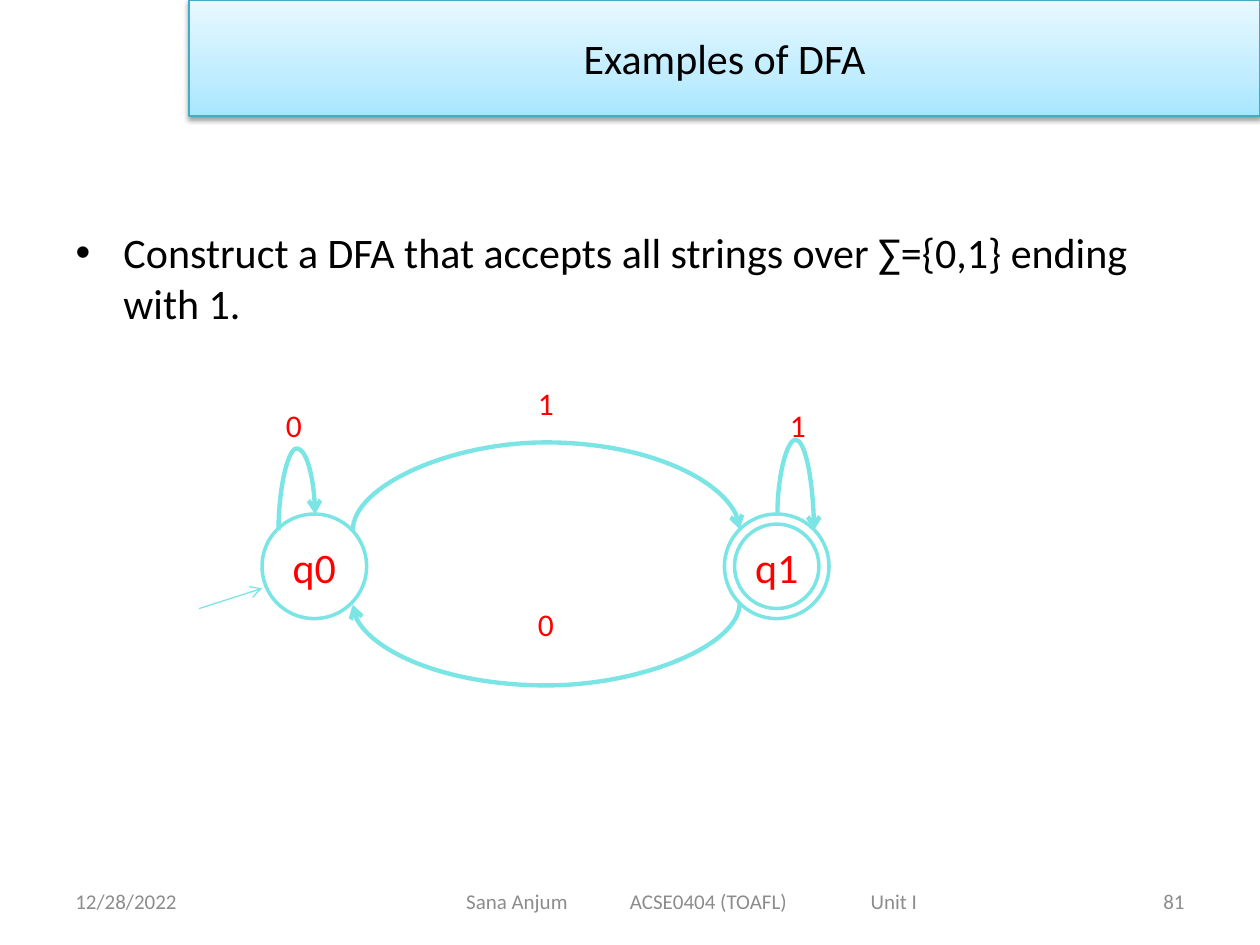
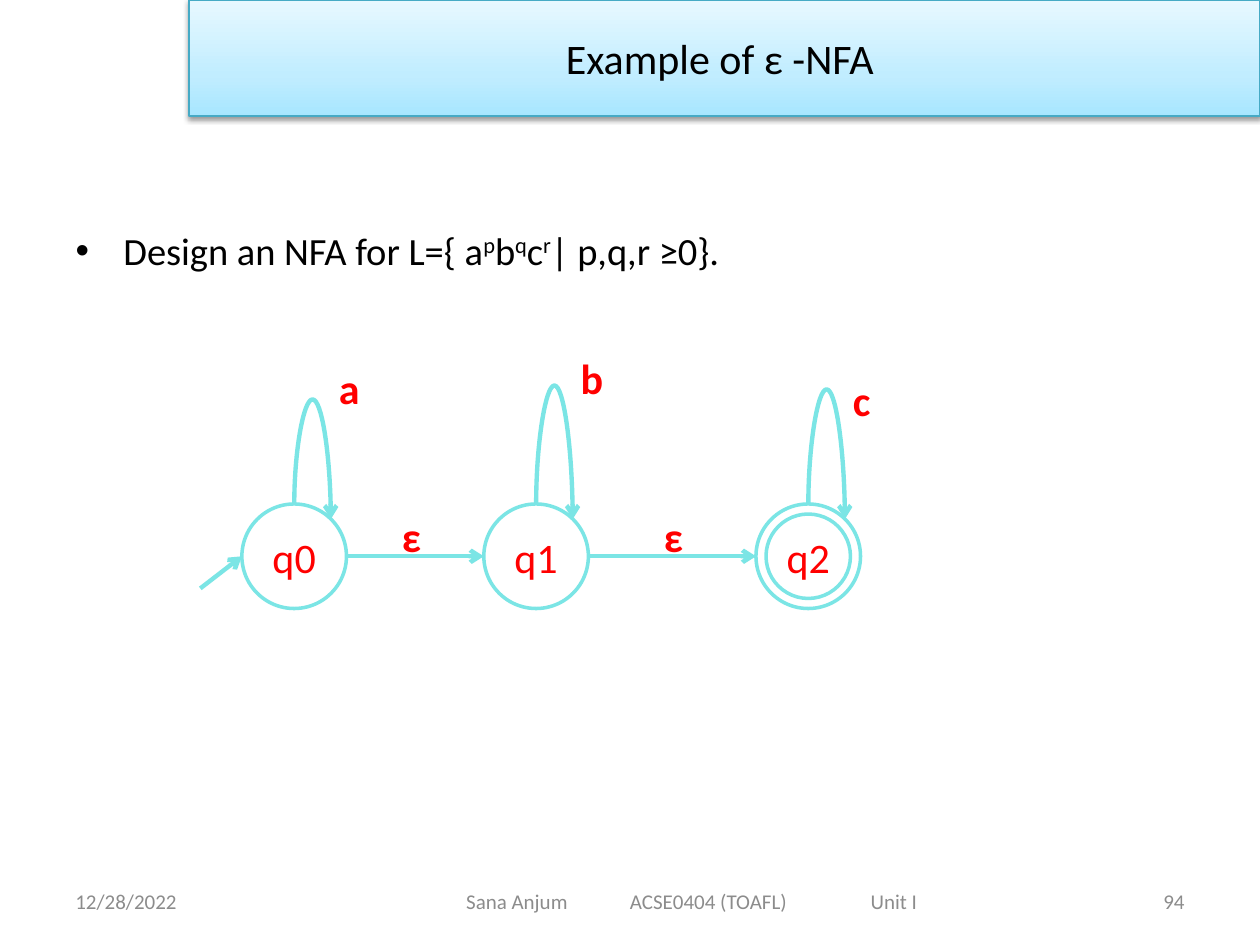
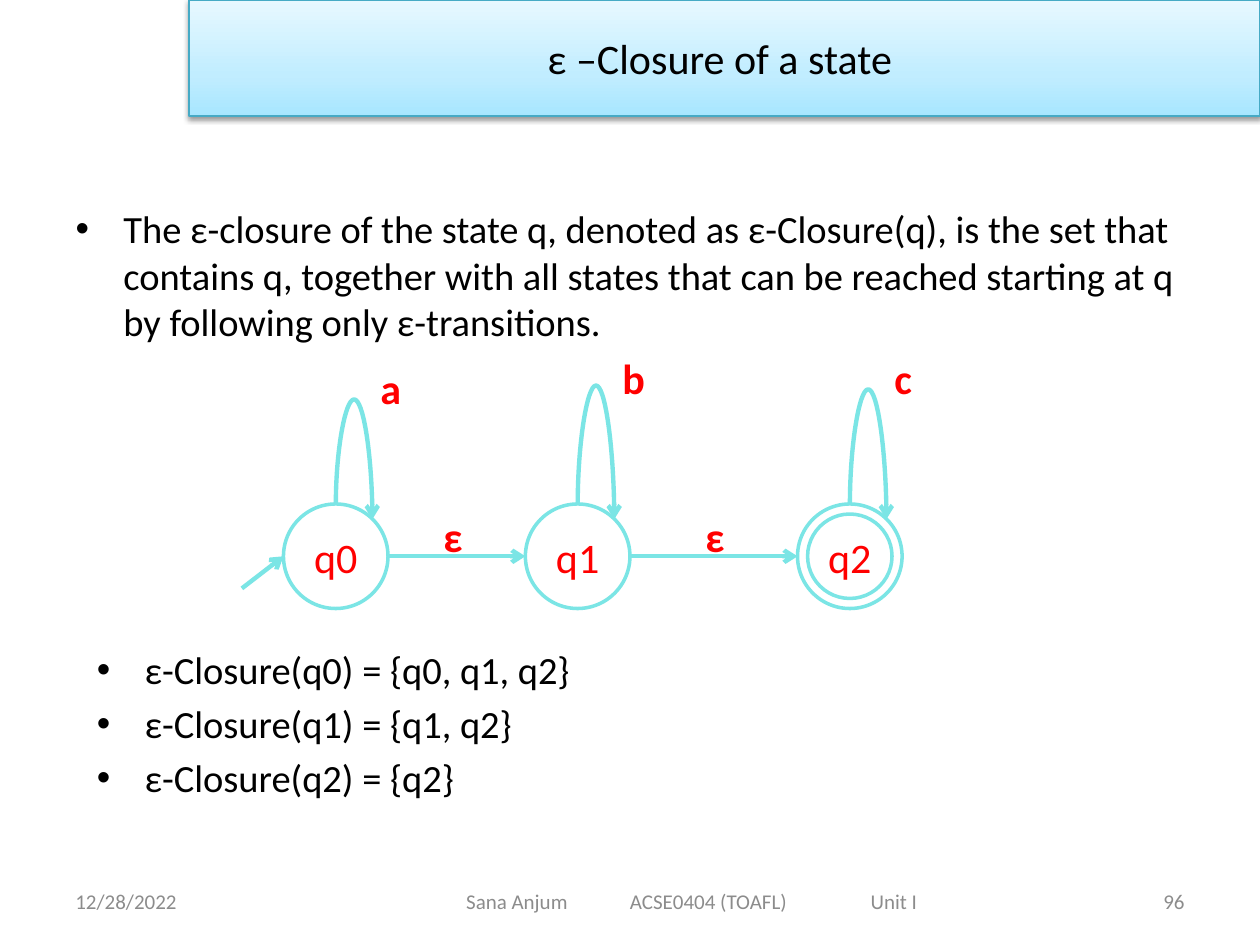
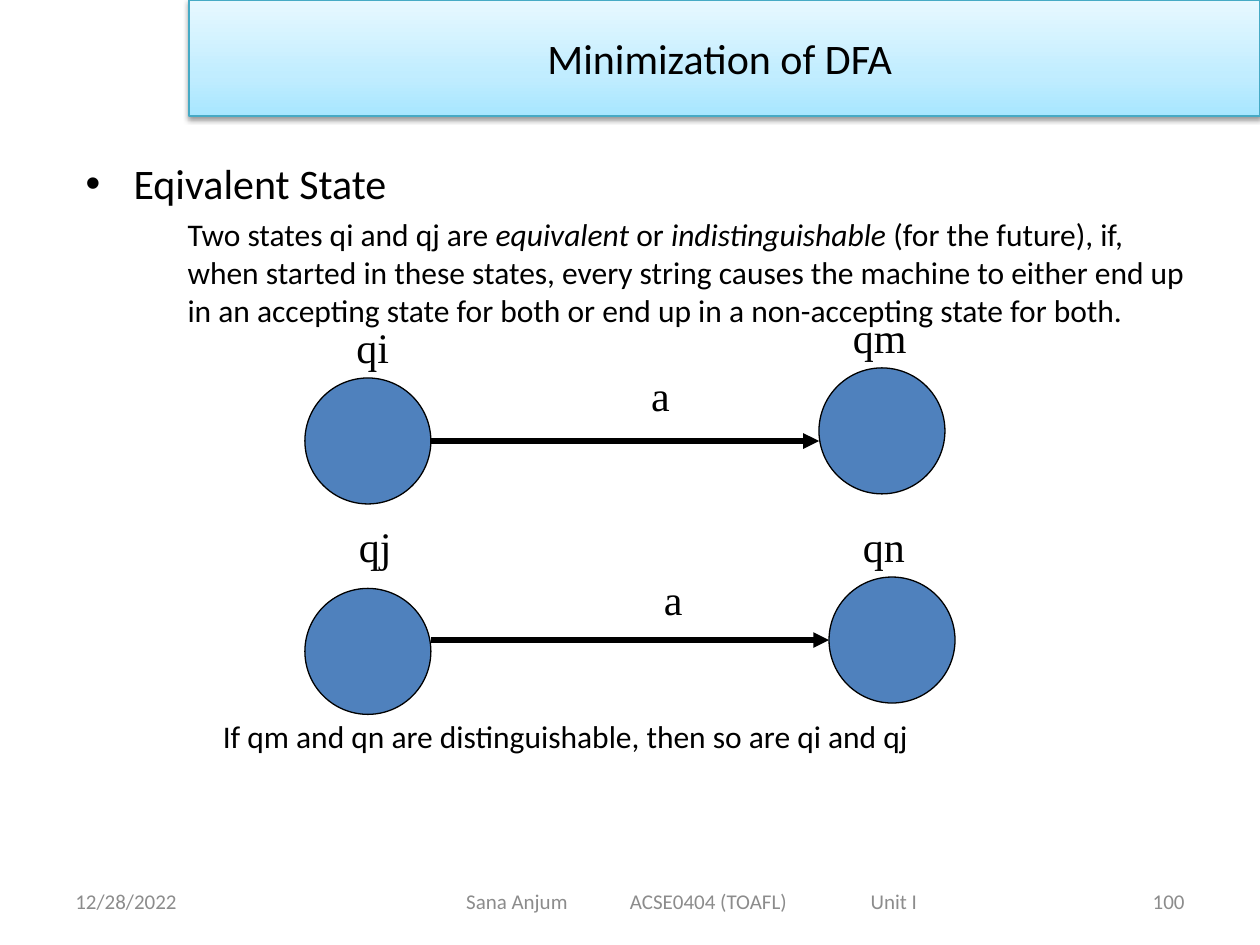
from dataclasses import dataclass
from typing import NamedTuple

from lxml import etree
from pptx import Presentation
from pptx import util as u
from pptx.dml.color import RGBColor
from pptx.enum import shapes, text
from pptx.oxml import ns
from pptx.slide import Slide


class Ink(NamedTuple):
    size: float
    color: str
    font: str = "Calibri"
    bold: bool = False


@dataclass(frozen=True)
class Theme:
    heading: Ink = Ink(24, "000000")
    body: Ink = Ink(22, "000000")
    note: Ink = Ink(18, "000000")
    footer: Ink = Ink(12, "8C8C8C")
    state: Ink = Ink(24, "FF0000")
    digit: Ink = Ink(18, "FF0000")
    symbol: Ink = Ink(24, "FF0000", bold=True)
    serif: Ink = Ink(24, "000000", "Times New Roman")
    band: tuple = ((0, "A7E6FF"), (35, "C1EDFF"), (100, "E7F8FF"))
    band_edge: str = "46AAC5"
    diagram: str = "7BE5E5"
    disc: str = "4F81BD"
    black: str = "000000"
    hairline: float = 0.75
    ring: float = 2
    arrow: float = 2.5
    heavy: float = 3


THEME = Theme()
STATE_SIZE = 0.83
FINAL_GAP = 0.08
DISC_SIZE = 1


class Point(NamedTuple):
    x: float
    y: float


class Area(NamedTuple):
    left: float
    top: float
    width: float
    height: float


class Span(NamedTuple):
    text: str
    italic: bool = False
    raised: bool = False


@dataclass(frozen=True)
class State:
    name: str
    left: float
    top: float
    final: bool = False


@dataclass(frozen=True)
class Curve:
    start: Point
    end: Point
    level: float


@dataclass(frozen=True)
class Label:
    text: str
    left: float
    top: float


@dataclass(frozen=True)
class Link:
    state: str
    offset: float
    loop_symbol: str
    loop_level: float
    symbol_top: float
    empty_label: float = 0


def add_element(parent, tag: str, **attributes):
    child = etree.SubElement(parent, ns.qn(tag))
    for key, value in attributes.items():
        child.set(key, str(value))
    return child


def rgb(color: str) -> RGBColor:
    return RGBColor.from_string(color)


def format_runs(para, ink: Ink) -> None:
    for span in para.runs:
        span.font.name = ink.font
        span.font.size = u.Pt(ink.size)
        span.font.bold = ink.bold
        span.font.color.rgb = rgb(ink.color)


def write_spans(para, spans: list[Span], ink: Ink) -> None:
    for part in spans:
        span = para.add_run()
        span.text = part.text
        span.font.italic = part.italic
        if part.raised:
            span.font._element.set("baseline", "30000")
    format_runs(para, ink)


def write_bullets(frame, items: list[list[Span]], ink: Ink) -> None:
    for index, spans in enumerate(items):
        para = frame.paragraphs[0] if index == 0 else frame.add_paragraph()
        properties = para._p.get_or_add_pPr()
        properties.set("marL", str(u.Inches(0.38)))
        properties.set("indent", str(-u.Inches(0.38)))
        add_element(properties, "a:buFont", typeface="Arial")
        add_element(properties, "a:buChar", char="•")
        para.space_before = u.Pt(0.2 * ink.size if index else 0)
        write_spans(para, spans, ink)


def place(shape, area: Area) -> None:
    shape.left, shape.top, shape.width, shape.height = map(u.Inches, area)


def add_box(page: Slide, area: Area, content: str, ink: Ink, wrap: bool = True):
    box = page.shapes.add_textbox(*map(u.Inches, area))
    frame = box.text_frame
    frame.text = content
    frame.word_wrap = wrap
    format_runs(frame.paragraphs[0], ink)
    return box


def add_footer(page: Slide, number: int) -> None:
    date = add_box(page, Area(0.5, 6.95, 2.33, 0.4), "12/28/2022", THEME.footer)
    course = add_box(page, Area(2.75, 6.95, 5.5, 0.4),
                     "Sana Anjum\tACSE0404 (TOAFL)\tUnit I", THEME.footer)
    count = add_box(page, Area(7.17, 6.95, 2.33, 0.4), str(number), THEME.footer)
    for box in (date, course, count):
        box.text_frame.vertical_anchor = text.MSO_ANCHOR.MIDDLE
    course.text_frame.margin_left = u.Inches(0.95)
    tabs = add_element(course.text_frame.paragraphs[0]._p.get_or_add_pPr(), "a:tabLst")
    for stop in (1.3, 3.21):
        add_element(tabs, "a:tab", pos=u.Inches(stop), algn="l")
    count.text_frame.paragraphs[0].alignment = text.PP_ALIGN.RIGHT


def add_title(page: Slide, heading: str) -> None:
    title = page.shapes.title
    place(title, Area(1.5, 0, 8.5, 0.92))
    frame = title.text_frame
    frame.text = heading
    frame.auto_size = text.MSO_AUTO_SIZE.NONE
    frame.vertical_anchor = text.MSO_ANCHOR.MIDDLE
    frame.paragraphs[0].alignment = text.PP_ALIGN.CENTER
    format_runs(frame.paragraphs[0], THEME.heading)
    title.fill.gradient()
    title.line.color.rgb = rgb(THEME.band_edge)
    title.line.width = u.Pt(THEME.hairline)
    properties = title._element.spPr
    gradient = properties.find(ns.qn("a:gradFill"))
    gradient.clear()
    stops = add_element(gradient, "a:gsLst")
    for position, color in THEME.band:
        stop = add_element(stops, "a:gs", pos=position * 1000)
        add_element(stop, "a:srgbClr", val=color)
    add_element(gradient, "a:lin", ang=270 * 60000, scaled=0)
    effects = add_element(properties, "a:effectLst")
    shadow = add_element(effects, "a:outerShdw", blurRad=u.Pt(3.1), dist=u.Pt(1.6),
                         dir=90 * 60000, rotWithShape=0)
    tint = add_element(shadow, "a:srgbClr", val=THEME.black)
    add_element(tint, "a:alpha", val=38000)


def add_page(deck, heading: str, number: int, area: Area,
             spans: list[Span], ink: Ink) -> Slide:
    page = deck.slides.add_slide(deck.slide_layouts[1])
    add_title(page, heading)
    add_footer(page, number)
    body = page.placeholders[1]
    place(body, area)
    body.text_frame.auto_size = text.MSO_AUTO_SIZE.NONE
    write_bullets(body.text_frame, [spans], ink)
    return page


def add_circle(page: Slide, left: float, top: float, size: float,
               line_color: str, line_width: float):
    circle = page.shapes.add_shape(shapes.MSO_SHAPE.OVAL,
                                   *map(u.Inches, (left, top, size, size)))
    circle.shadow.inherit = False
    circle.fill.background()
    circle.line.color.rgb = rgb(line_color)
    circle.line.width = u.Pt(line_width)
    return circle


def add_state(page: Slide, state: State) -> None:
    circle = add_circle(page, state.left, state.top, STATE_SIZE,
                        THEME.diagram, THEME.ring)
    frame = circle.text_frame
    frame.text = state.name
    frame.word_wrap = False
    frame.vertical_anchor = text.MSO_ANCHOR.MIDDLE
    frame.paragraphs[0].alignment = text.PP_ALIGN.CENTER
    format_runs(frame.paragraphs[0], THEME.state)
    if state.final:
        add_circle(page, state.left + FINAL_GAP, state.top + FINAL_GAP,
                   STATE_SIZE - 2 * FINAL_GAP, THEME.diagram, THEME.ring)


def add_arrow(page: Slide, start: Point, end: Point, color: str = THEME.diagram,
              width: float = THEME.arrow, head: str = "arrow",
              kind=shapes.MSO_CONNECTOR.STRAIGHT):
    arrow = page.shapes.add_connector(kind, *map(u.Inches, (*start, *end)))
    arrow.line.color.rgb = rgb(color)
    arrow.line.width = u.Pt(width)
    properties = arrow._element.spPr
    add_element(properties.find(ns.qn("a:ln")), "a:tailEnd", type=head)
    add_element(properties, "a:effectLst")
    return arrow


def add_curve(page: Slide, curve: Curve) -> None:
    start, end = curve.start, curve.end
    run, rise = end.x - start.x, end.y - start.y
    middle = Point((start.x + end.x) / 2, (start.y + end.y) / 2)
    half_width, half_height = abs(rise) / 2, abs(run) / 2
    arrow = add_arrow(page,
                      Point(middle.x - half_width, middle.y - half_height),
                      Point(middle.x + half_width, middle.y + half_height),
                      kind=shapes.MSO_CONNECTOR.CURVE)
    same_sign = run * rise > 0
    properties = arrow._element.spPr
    frame = properties.find(ns.qn("a:xfrm"))
    frame.set("rot", str((270 if same_sign else 90) * 60000))
    frame.set("flipH", str(int((rise > 0) == same_sign)))
    frame.set("flipV", str(int((run < 0) == same_sign)))
    guides = properties.find(ns.qn("a:prstGeom")).find(ns.qn("a:avLst"))
    bend = round((curve.level - start.y) / rise * 100000)
    add_element(guides, "a:gd", name="adj1", fmla=f"val {bend}")


def add_label(page: Slide, label: Label, ink: Ink, width: float = 0.58,
              wrap: bool = True) -> None:
    height = 0.5 if ink.size > 20 else 0.4
    add_box(page, Area(label.left, label.top, width, height), label.text, ink, wrap)


CHAIN = (
    Link("q0", 0, "a", 3.17, 2.83, 1.17),
    Link("q1", 1.92, "b", 3.06, 2.75, 1.33),
    Link("q2", 4.08, "c", 3.09, 2.92),
)


def add_chain(page: Slide, left: float, last_symbol_top: float) -> None:
    top = 4
    centre = top + STATE_SIZE / 2
    add_arrow(page, Point(left - 0.33, 4.67), Point(left, centre))
    for index, link in enumerate(CHAIN):
        x = left + link.offset
        final = index == len(CHAIN) - 1
        add_state(page, State(link.state, x, top, final))
        loop_x = x + STATE_SIZE / 2
        add_curve(page, Curve(Point(loop_x, top), Point(loop_x + 0.29, top + 0.12),
                              link.loop_level))
        symbol_top = last_symbol_top if final else link.symbol_top
        add_label(page, Label(link.loop_symbol, x + 0.67, symbol_top), THEME.symbol)
        if not final:
            add_arrow(page, Point(x + STATE_SIZE, centre),
                      Point(left + CHAIN[index + 1].offset, centre))
            add_label(page, Label("ε", x + link.empty_label, top), THEME.symbol)


def build_dfa(deck) -> None:
    page = add_page(
        deck, "Examples of DFA", 81, Area(0.5, 1.75, 9, 4.95),
        [Span("Construct a DFA that accepts all strings over ∑={0,1} ending with 1.")],
        THEME.heading)
    for state in (State("q0", 2.08, 4.08), State("q1", 5.75, 4.08, True)):
        add_state(page, state)
    add_arrow(page, Point(1.58, 4.83), Point(2.08, 4.67), width=THEME.hairline)
    for curve in (
        Curve(Point(2.21, 4.21), Point(2.5, 4.08), 3.56),
        Curve(Point(2.8, 4.21), Point(5.87, 4.2), 3.5),
        Curve(Point(5.87, 4.79), Point(2.8, 4.8), 5.45),
        Curve(Point(6.17, 4.08), Point(6.46, 4.21), 3.49),
    ):
        add_curve(page, curve)
    for label in (Label("0", 2.17, 3.17), Label("1", 4.17, 3),
                  Label("1", 6.17, 3.17), Label("0", 4.17, 4.75)):
        add_label(page, label, THEME.digit)


def build_epsilon_nfa(deck) -> None:
    spans = [Span("Design an NFA for L={ a"), Span("p", raised=True),
             Span("b"), Span("q", raised=True),
             Span("c"), Span("r", raised=True), Span("| p,q,r ≥0}.")]
    page = add_page(deck, "Example of ε -NFA ", 94, Area(0.5, 1.75, 9, 3.33),
                    spans, THEME.body)
    add_chain(page, 1.92, 2.92)


def build_closure(deck) -> None:
    page = add_page(
        deck, "ε –Closure of a state ", 96, Area(0.5, 1.58, 9, 1.42),
        [Span("The ε-closure of the state q, denoted as ε-Closure(q), is the set that "
              "contains q, together with all states that can be reached starting at q "
              "by following only ε-transitions.")],
        THEME.body)
    add_chain(page, 2.25, 2.75)
    box = page.shapes.add_textbox(*map(u.Inches, Area(0.67, 5.08, 9, 1.42)))
    box.text_frame.word_wrap = True
    closures = ("ε-Closure(q0) = {q0, q1, q2}", "ε-Closure(q1) = {q1, q2}",
                "ε-Closure(q2) = {q2}")
    write_bullets(box.text_frame, [[Span(line)] for line in closures], THEME.body)


def build_minimization(deck) -> None:
    page = add_page(deck, "Minimization of DFA ", 100, Area(0.58, 1.2, 8.02, 0.55),
                    [Span("Eqivalent State ")], THEME.heading)
    page.placeholders[1].text_frame.paragraphs[0].alignment = text.PP_ALIGN.JUSTIFY
    for left, top in ((2.42, 3), (6.5, 2.92), (2.42, 4.67), (6.58, 4.58)):
        disc = add_circle(page, left, top, DISC_SIZE, THEME.black, THEME.hairline)
        disc.fill.solid()
        disc.fill.fore_color.rgb = rgb(THEME.disc)
    for end in (Point(6.5, 3.5), Point(6.58, 5.08)):
        add_arrow(page, Point(3.42, end.y), end, THEME.black, THEME.heavy, "triangle")
    for label, width in (
        (Label("qi", 2.73, 2.5), 0.46), (Label("qm", 6.67, 2.42), 0.63),
        (Label("qj", 2.75, 4.08), 0.46), (Label("qn", 6.75, 4.08), 0.53),
        (Label("a", 5.07, 2.88), 0.35), (Label("a", 5.17, 4.5), 0.35),
    ):
        add_label(page, label, THEME.serif, width, wrap=False)
    add_label(page, Label("If qm and qn are distinguishable, then so are qi and qj",
                          1.67, 5.64), THEME.note, 5.64, wrap=False)
    box = page.shapes.add_textbox(*map(u.Inches, Area(1.39, 1.66, 8.21, 1.01)))
    box.text_frame.word_wrap = True
    write_spans(box.text_frame.paragraphs[0], [
        Span("Two states qi and qj are "), Span("equivalent", italic=True),
        Span(" or "), Span("indistinguishable ", italic=True),
        Span("(for the future), if, when started in these states, every string causes "
             "the machine to either end up in an accepting state for both or end up in "
             "a non-accepting state for both."),
    ], THEME.note)


def main() -> None:
    deck = Presentation()
    deck.slide_width, deck.slide_height = u.Inches(10), u.Inches(7.5)
    for build in (build_dfa, build_epsilon_nfa, build_closure, build_minimization):
        build(deck)
    deck.save("out.pptx")


if __name__ == "__main__":
    main()
